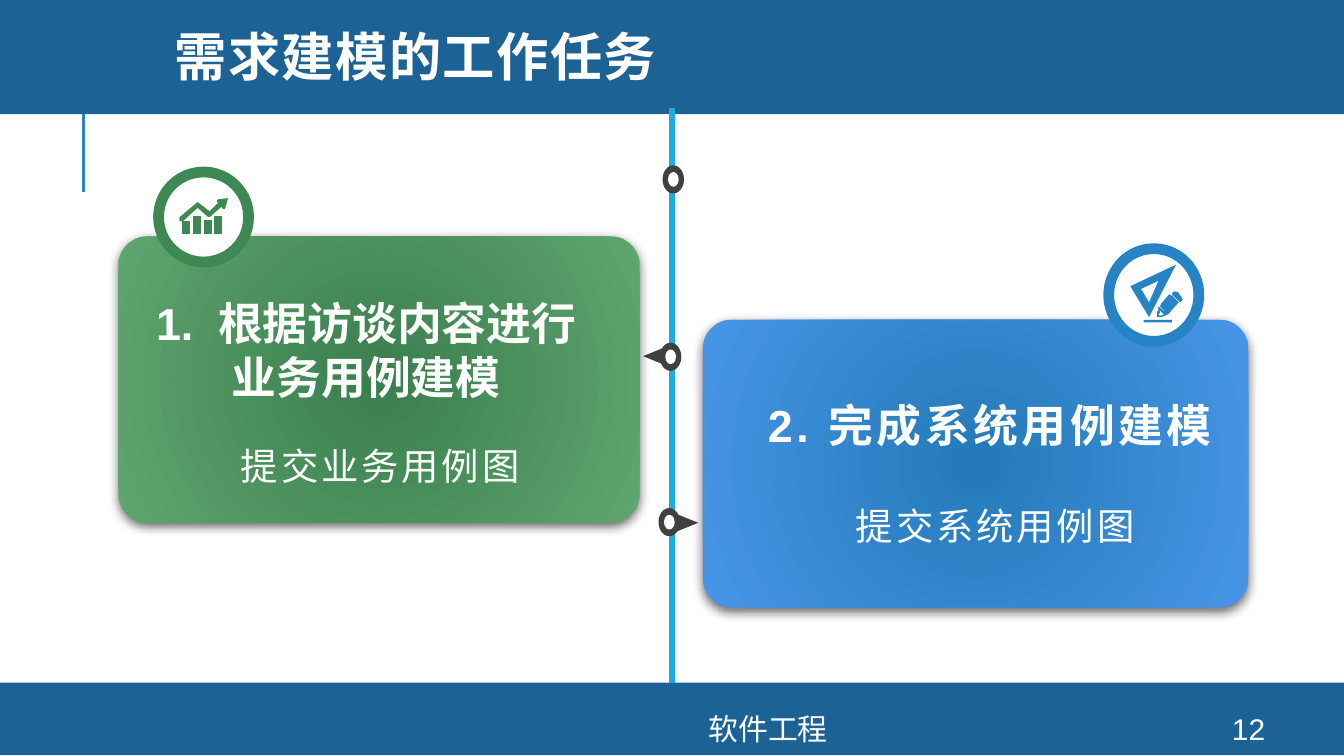
from lxml import etree
from pptx import Presentation
from pptx.dml.color import RGBColor
from pptx.enum import shapes, text
from pptx.oxml.ns import qn
from pptx.util import Inches, Pt

NAVY, BLUE, GREEN, DARK, WHITE = "1D6294", "2683C6", "3E8853", "404040", "FFFFFF"

# Icon outlines, in hundredths of an inch from the badge's corner
CHART_ICON = [
    [(16, 34), (29, 23), (38, 30), (45, 23), (44, 22), (44, 21), (51, 20), (49, 27),
     (48, 27), (47, 25), (38, 33), (37, 33), (29, 26), (18, 36), (16, 36)],
] + [[(x, top), (x + 5, top), (x + 5, 46), (x, 46)]
     for x, top in ((18, 37), (26, 33), (34, 36), (42, 33))]
DESIGN_ICON = [
    [(50, 12), (16, 28), (30, 51)],  # set square and its hole
    [(24, 30), (37, 24), (30, 40)],
    [(26, 53), (47, 53), (47, 55), (26, 55)],  # drawn line
    [(54, 36), (51, 32), (48, 32), (47, 34), (53, 40), (55, 38)],  # pencil
    [(47, 35), (45, 34), (39, 41), (38, 43), (44, 49), (45, 48), (52, 40)],
    [(36, 49), (36, 47), (37, 46), (37, 43), (44, 49), (39, 51), (36, 51)],
    [(37, 49), (38, 48), (38, 46), (41, 49), (38, 50)],
]


def rgb(value):
    return RGBColor.from_string(value)


def child(parent, tag, **attributes):
    return etree.SubElement(parent, qn(tag), {k: str(v) for k, v in attributes.items()})


def paint(shape, fill, line=None, width=0.75):
    shape.shadow.inherit = False
    shape.fill.solid()
    shape.fill.fore_color.rgb = rgb(fill)
    if line:
        shape.line.color.rgb = rgb(line)
        shape.line.width = Pt(width)
    else:
        shape.line.fill.background()


def add_shape(slide, kind, box, fill, line=None, width=0.75):
    shape = slide.shapes.add_shape(kind, *map(Inches, box))
    paint(shape, fill, line, width)
    return shape


def add_line(slide, x, top, bottom, color, width):
    line = slide.shapes.add_connector(
        shapes.MSO_CONNECTOR.STRAIGHT, *map(Inches, (x, top, x, bottom)))
    line.line.color.rgb = rgb(color)
    line.line.width = Pt(width)
    child(line._element.spPr, "a:effectLst")


def style(paragraph, size, font="Arial", bold=False, spacing=0):
    paragraph.font.name = font
    paragraph.font.size = Pt(size)
    paragraph.font.bold = bold
    paragraph.font.color.rgb = rgb(WHITE)
    if spacing:
        for run in paragraph.runs:
            run._r.get_or_add_rPr().set("spc", str(round(spacing * 100)))


def add_text(slide, box, words, size, bold=False, spacing=0, leading=None, middle=False):
    frame = slide.shapes.add_textbox(*map(Inches, box)).text_frame
    frame.word_wrap = True
    if middle:
        frame.vertical_anchor = text.MSO_ANCHOR.MIDDLE
    else:
        frame.auto_size = text.MSO_AUTO_SIZE.SHAPE_TO_FIT_TEXT
    paragraph = frame.paragraphs[0]
    paragraph.alignment = text.PP_ALIGN.CENTER
    paragraph.line_spacing = leading
    for part in words:
        paragraph.add_run().text = part
    style(paragraph, size, bold=bold, spacing=spacing)
    return paragraph


def add_frame(slide, title, footer, number):
    """Header and footer bands with their text."""
    add_line(slide, 0.62, 0.68, 1.43, BLUE, 1.5)
    for band in ((0, 5.08, 10, 0.54), (0, -0.03, 10, 0.88)):
        add_shape(slide, shapes.MSO_SHAPE.RECTANGLE, band, NAVY)
    heading = slide.shapes.title
    heading.left, heading.top, heading.width, heading.height = map(
        Inches, (1.2, 0, 8.49, 0.91))
    heading.text_frame.text = title
    heading.text_frame.vertical_anchor = text.MSO_ANCHOR.MIDDLE
    paragraph = heading.text_frame.paragraphs[0]
    paragraph.alignment = text.PP_ALIGN.LEFT
    paragraph.line_spacing = 0.8
    style(paragraph, 28, "Montserrat", True, 0.8)
    slide.shapes._spTree.append(heading._element)  # in front of the band
    add_text(slide, (2.61, 5.31, 6.21, 0.23), [footer], 16, middle=True)
    add_text(slide, (8.89, 5.31, 0.8, 0.23), [number], 16, middle=True)


def add_timeline(slide, x, top, bottom):
    """Vertical line with ring markers and pointers to the cards."""
    add_line(slide, x, top, bottom, "1CADE4", 3)
    for dx, y, angle in ((-0.2, 2.57, 270), (0.05, 3.81, 90)):
        pointer = add_shape(slide, shapes.MSO_SHAPE.ISOSCELES_TRIANGLE,
                            (x + dx, y, 0.13, 0.16), DARK)
        pointer.rotation = angle
    for dx, y in ((-0.07, 1.23), (-0.09, 2.55), (-0.1, 3.78)):
        add_shape(slide, shapes.MSO_SHAPE.OVAL, (x + dx, y, 0.16, 0.21), DARK)
        add_shape(slide, shapes.MSO_SHAPE.OVAL, (x + dx + 0.04, y + 0.05, 0.08, 0.11), WHITE)


def add_badge(slide, box, color, icon, outline):
    add_shape(slide, shapes.MSO_SHAPE.OVAL, box, WHITE, color, 5.75)
    builder = slide.shapes.build_freeform(*icon[0][0], scale=Inches(0.01))
    builder.add_line_segments(icon[0][1:])
    for contour in icon[1:]:
        builder.move_to(*contour[0])
        builder.add_line_segments(contour[1:])
    drawing = builder.convert_to_shape(Inches(box[0]), Inches(box[1]))
    paint(drawing, color, outline)


def add_card(slide, box, inner, outer):
    """Rounded card with a radial gradient and a soft shadow."""
    card = add_shape(slide, shapes.MSO_SHAPE.ROUNDED_RECTANGLE, box, inner)
    card.adjustments[0] = 0.1
    properties = card._element.spPr
    gradient = etree.Element(qn("a:gradFill"), rotWithShape="1")
    stops = child(gradient, "a:gsLst")
    for position, color in ((0, inner), (100000, outer)):
        child(child(stops, "a:gs", pos=position), "a:srgbClr", val=color)
    child(child(gradient, "a:path", path="circle"), "a:fillToRect",
          l=100000, t=100000, r=100000, b=100000)
    properties.replace(properties.find(qn("a:solidFill")), gradient)
    shadow = child(properties.find(qn("a:effectLst")), "a:outerShdw", blurRad=Pt(6),
                   dist=Pt(2), dir=5400000, algn="ctr", rotWithShape=0)
    child(child(shadow, "a:srgbClr", val="000000"), "a:alpha", val=60000)


def add_task(slide, box, shades, badge, heading, note):
    """Card with a badge, a heading and a note, each placed from its corner."""
    left, top = box[:2]

    def within(dx, dy, width, height):
        return left + dx, top + dy, width, height

    add_card(slide, box, *shades)
    badge_box, *badge_look = badge
    add_badge(slide, within(*badge_box), *badge_look)
    note_box, note_words = note
    add_text(slide, within(*note_box), [note_words], 20, spacing=1.5, leading=1.5)
    heading_box, words, spacing = heading
    return add_text(slide, within(*heading_box), words, 24, True, spacing)


def main():
    deck = Presentation()
    deck.slide_width = Inches(10)
    deck.slide_height = deck.slide_width * 9 // 16
    slide = deck.slides.add_slide(deck.slide_layouts[5])
    add_frame(slide, "需求建模的工作任务", "软件工程", "12")
    add_timeline(slide, 5, 0.8, 5.08)
    business = add_task(
        slide, (0.88, 1.76, 3.88, 2.13), ("3A7F4D", "5FA56F"),
        ((0.3, -0.48, 0.67, 0.67), GREEN, CHART_ICON, GREEN),
        ((0.11, 0.39, 3.47, 0.91), ["1.", " ", "根据访谈内容进行业务用例建模"], 0),
        ((0.57, 1.32, 2.76, 0.6), "提交业务用例图"))
    # Widen the gap after the number
    business.runs[1]._r.get_or_add_rPr().set("spc", "650")
    add_task(
        slide, (5.23, 2.38, 4.06, 2.14), ("237AB8", "4895E7"),
        ((3.02, -0.53, 0.67, 0.69), BLUE, DESIGN_ICON, None),
        ((0.2, 0.53, 3.87, 0.5), ["2. 完成系统用例建模"], 1.9),
        ((0.83, 1.15, 2.69, 0.6), "提交系统用例图"))
    deck.save("out.pptx")


if __name__ == "__main__":
    main()
